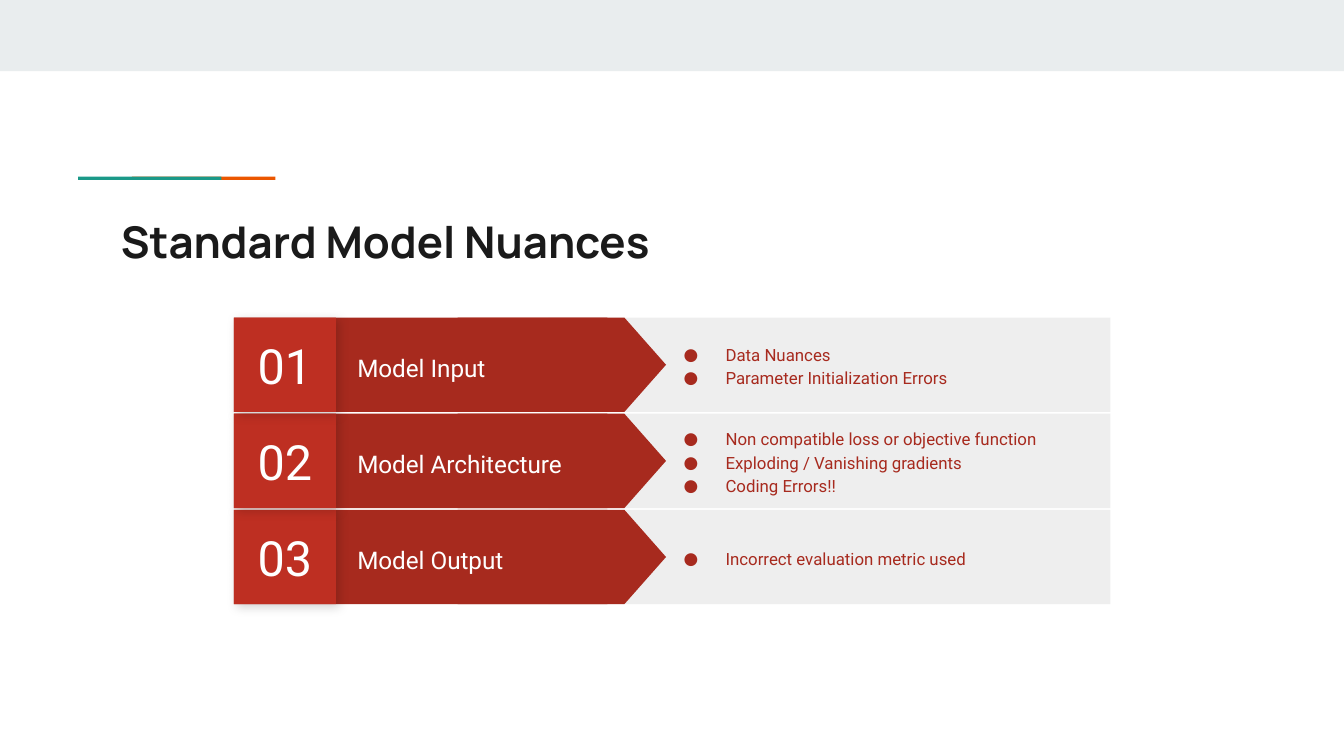
from dataclasses import dataclass

from lxml import etree
from pptx import Presentation
from pptx import util as u
from pptx.dml.color import RGBColor
from pptx.enum import shapes, text
from pptx.oxml import ns


@dataclass(frozen=True)
class Theme:
    band: str = "E9EDEE"
    teal: str = "1A9988"
    orange: str = "EB5600"
    ink: str = "1A1A1A"
    panel: str = "EEEEEE"
    arrow: str = "A72A1E"
    tile: str = "BE2F22"
    tile_base: str = "B02C20"
    white: str = "FFFFFF"
    heading_font: str = "Manrope"
    body_font: str = "Roboto"
    title_size: float = 23.4
    number_size: float = 26
    label_size: float = 13
    detail_size: float = 9


STAGES = [
    ("01", "Model Input", ["Data Nuances", "Parameter Initialization Errors"]),
    ("02", "Model Architecture", ["Non compatible loss or objective function",
                                  "Exploding / Vanishing gradients", "Coding Errors!!"]),
    ("03", "Model Output", ["Incorrect evaluation metric used"]),
]
ROW_TOP, ROW_PITCH, ROW_HEIGHT = 170.1, 51.5, 50.6
INSET = 7.2


def add_xml(parent, tag, **attributes):
    return etree.SubElement(parent, ns.qn(tag), attributes)


class SlideBuilder:
    """Draws on the slide, or on the group opened last; lengths are in points."""

    def __init__(self, slide, theme):
        self.slide = slide
        self.theme = theme
        self.canvas = slide.shapes

    def open_group(self):
        self.canvas = self.slide.shapes.add_group_shape().shapes

    def block(self, left, top, width, height, color, preset=shapes.MSO_SHAPE.RECTANGLE):
        block = self.canvas.add_shape(preset, u.Pt(left), u.Pt(top), u.Pt(width), u.Pt(height))
        block.shadow.inherit = False
        block.fill.solid()
        block.fill.fore_color.rgb = RGBColor.from_string(color)
        block.line.fill.background()
        return block

    def arrow_head(self, left, top, width, height, color):
        """Off-page connector turned to point right, placed by its visible bounds."""
        shift = (width - height) / 2
        head = self.block(left + shift, top - shift, height, width, color,
                          shapes.MSO_SHAPE.FLOWCHART_OFFPAGE_CONNECTOR)
        head.rotation = 270

    def cast_shadow(self, block):
        effects = block._element.spPr.find(ns.qn("a:effectLst"))
        shadow = add_xml(effects, "a:outerShdw", blurRad=str(u.Pt(5.6)), dist=str(u.Pt(2.2)),
                         dir="2700000", algn="bl", rotWithShape="0")
        color = add_xml(shadow, "a:srgbClr", val="000000")
        add_xml(color, "a:alpha", val="17000")

    def prepare_frame(self, frame, anchor):
        frame.word_wrap = True
        frame.auto_size = text.MSO_AUTO_SIZE.NONE
        frame.vertical_anchor = anchor
        frame.margin_left = frame.margin_right = u.Pt(INSET)
        frame.margin_top = frame.margin_bottom = u.Pt(INSET)

    def add_words(self, paragraph, words, font, size, color, spacing=1.15,
                  align=text.PP_ALIGN.LEFT, bold=False):
        paragraph.alignment = align
        paragraph.line_spacing = spacing
        run = paragraph.add_run()
        run.text = words
        run.font.name = font
        run.font.size = u.Pt(size)
        run.font.bold = bold
        run.font.color.rgb = RGBColor.from_string(color)

    def title(self, words, left, top, width, height):
        heading = self.slide.shapes.title
        heading.left, heading.top = u.Pt(left), u.Pt(top)
        heading.width, heading.height = u.Pt(width), u.Pt(height)
        self.prepare_frame(heading.text_frame, text.MSO_ANCHOR.TOP)
        paragraph = heading.text_frame.paragraphs[0]
        paragraph.space_before = paragraph.space_after = u.Pt(9)
        self.add_words(paragraph, words, self.theme.heading_font, self.theme.title_size,
                       self.theme.ink, bold=True)

    def number_tile(self, number, left, top, width, height):
        self.cast_shadow(self.block(left, top, width, height, self.theme.tile_base))
        tile = self.block(left, top, width, height, self.theme.tile)
        self.prepare_frame(tile.text_frame, text.MSO_ANCHOR.MIDDLE)
        self.add_words(tile.text_frame.paragraphs[0], number, self.theme.body_font,
                       self.theme.number_size, self.theme.white, 1.0, text.PP_ALIGN.CENTER)

    def text_box(self, lines, left, top, width, height, size, color, bulleted=False):
        box = self.canvas.add_textbox(u.Pt(left), u.Pt(top), u.Pt(width), u.Pt(height))
        frame = box.text_frame
        self.prepare_frame(frame, text.MSO_ANCHOR.MIDDLE)
        for index, line in enumerate(lines):
            paragraph = frame.add_paragraph() if index else frame.paragraphs[0]
            self.add_words(paragraph, line, self.theme.body_font, size, color)
            if bulleted:
                self.bullet(paragraph, color)

    def bullet(self, paragraph, color):
        properties = paragraph._p.get_or_add_pPr()
        properties.set("marL", str(u.Pt(36)))
        properties.set("indent", str(u.Pt(-22.5)))
        add_xml(add_xml(properties, "a:buClr"), "a:srgbClr", val=color)
        add_xml(properties, "a:buFont", typeface=self.theme.body_font)
        add_xml(properties, "a:buChar", char="●")

    def stage_row(self, top, number, label, details):
        theme = self.theme
        self.open_group()
        self.block(293.8, top, 301, ROW_HEIGHT, theme.panel)
        self.block(180, top, 145.4, ROW_HEIGHT, theme.arrow)
        self.arrow_head(245.2, top, 111.6, ROW_HEIGHT, theme.arrow)
        self.text_box([label], 184.3, top + 6.2, 152.6, 38.9, theme.label_size, theme.white)
        self.number_tile(number, 125.3, top, 54.7, ROW_HEIGHT)
        self.text_box(details, 345.6, top, 234, ROW_HEIGHT, theme.detail_size,
                      theme.arrow, bulleted=True)


def main():
    deck = Presentation()
    deck.slide_width, deck.slide_height = u.Pt(720), u.Pt(405)
    slide = deck.slides.add_slide(deck.slide_layouts[5])
    theme = Theme()
    builder = SlideBuilder(slide, theme)

    builder.block(0, 0, 720, 38.2, theme.band)
    builder.title("Standard Model Nuances", 57.6, 103.7, 605.5, 42.5)
    builder.open_group()
    for left, color in ((70.7, theme.orange), (41.8, theme.teal)):
        builder.block(left, 94.7, 76.8, 1.7, color)

    # Bottom row first, so each tile's shadow falls on the row below it.
    for index, stage in reversed(list(enumerate(STAGES))):
        builder.stage_row(ROW_TOP + index * ROW_PITCH, *stage)

    deck.save("out.pptx")


if __name__ == "__main__":
    main()
